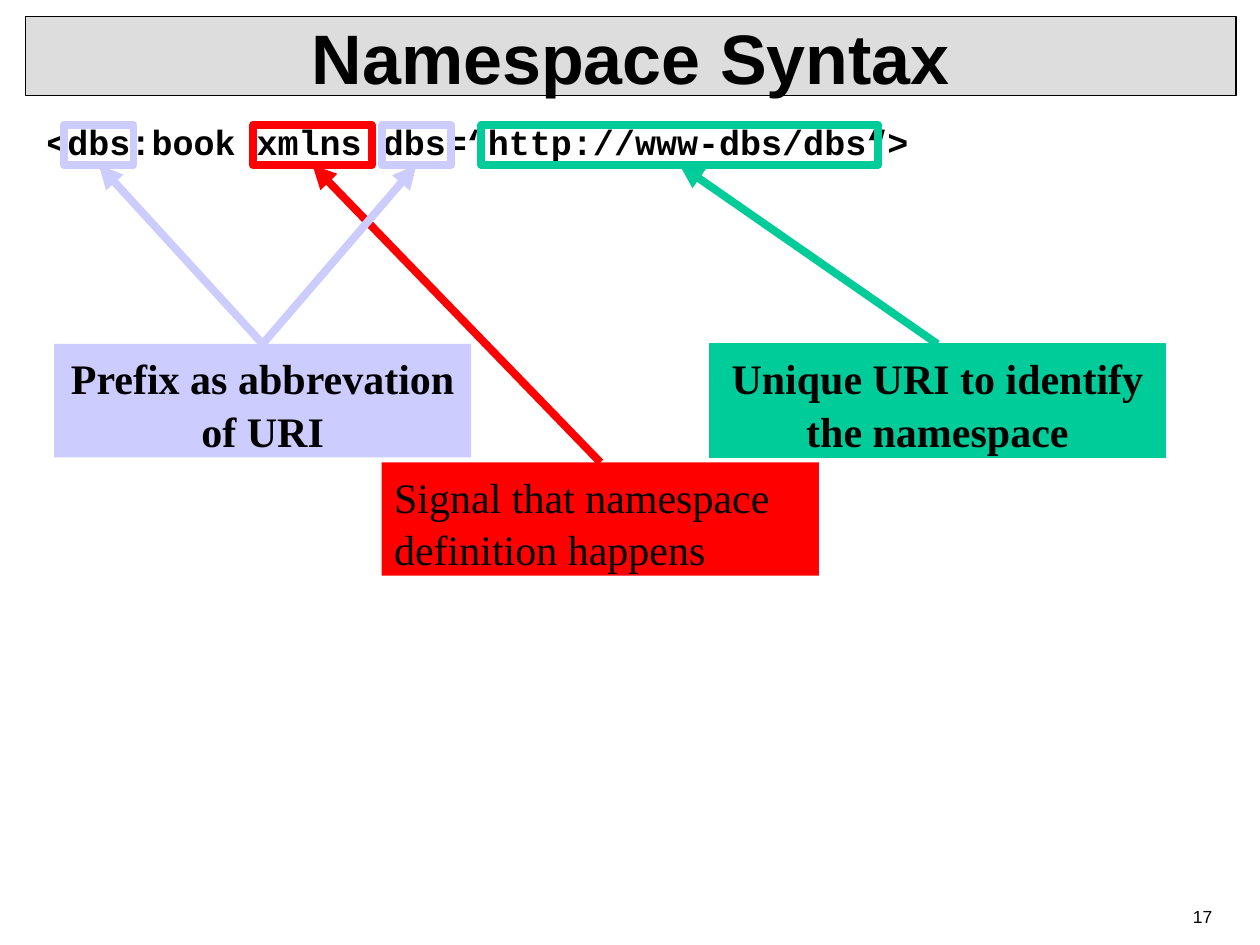
from lxml import etree
from pptx import Presentation
from pptx.dml.color import RGBColor
from pptx.enum.shapes import MSO_CONNECTOR, MSO_SHAPE
from pptx.enum.text import MSO_ANCHOR, PP_ALIGN
from pptx.oxml.ns import qn
from pptx.util import Inches, Pt

RECTANGLE = MSO_SHAPE.RECTANGLE
STRAIGHT = MSO_CONNECTOR.STRAIGHT
LEFT, CENTER, RIGHT = PP_ALIGN.LEFT, PP_ALIGN.CENTER, PP_ALIGN.RIGHT
TOP, MIDDLE = MSO_ANCHOR.TOP, MSO_ANCHOR.MIDDLE
TOP_SITE, BOTTOM_SITE = 0, 2
COLUMNS, ROWS = 100, 75
FRAME_ROW, FRAME_HEIGHT, LABEL_HEIGHT = 9.9, 3.2, 9
COLORS = {
    "black": "000000",
    "gray": "DDDDDD",
    "green": "00CC99",
    "red": "FF0000",
    "lilac": "CCCCFF",
}


def color(name):
    return RGBColor.from_string(COLORS[name])


def write(box, text, font="Arial", size=24, bold=False, align=LEFT, anchor=TOP, spacing=None):
    frame = box.text_frame
    frame.word_wrap = True
    frame.vertical_anchor = anchor
    para = frame.paragraphs[0]
    para.alignment = align
    para.line_spacing = spacing
    span = para.add_run()
    span.text = text
    span.font.name = font
    span.font.size = Pt(size)
    span.font.bold = bold
    span.font.color.rgb = color("black")


class NamespaceSlide:
    """Holds the deck, its grid and the current page, and draws each kind of element."""

    def __init__(self):
        self.deck = Presentation()
        self.deck.slide_width, self.deck.slide_height = Inches(10), Inches(7.5)
        self.page = self.deck.slides.add_slide(self.deck.slide_layouts[6])
        self.shapes = self.page.shapes

    def place(self, column, row, width, height):
        across = self.deck.slide_width / COLUMNS
        down = self.deck.slide_height / ROWS
        return round(column * across), round(row * down), round(width * across), round(height * down)

    def start_group(self):
        self.shapes = self.page.shapes.add_group_shape().shapes

    def text(self, area, text, **style):
        box = self.shapes.add_textbox(*self.place(*area))
        write(box, text, **style)

    def rectangle(self, area, fill=None, line=None, weight=0.75):
        box = self.shapes.add_shape(RECTANGLE, *self.place(*area))
        box.shadow.inherit = False
        if fill:
            box.fill.solid()
            box.fill.fore_color.rgb = color(fill)
        else:
            box.fill.background()
        if line:
            box.line.color.rgb = color(line)
            box.line.width = Pt(weight)
        else:
            box.line.fill.background()
        return box

    def frame(self, column, width, tint):
        return self.rectangle((column, FRAME_ROW, width, FRAME_HEIGHT), line=tint, weight=4.5)

    def label(self, column, row, width, text, tint, line=None, **style):
        box = self.rectangle((column, row, width, LABEL_HEIGHT), fill=tint, line=line)
        write(box, text, font="Times New Roman", spacing=1.05, **style)
        return box

    def arrow(self, label, frame, tint):
        line = self.shapes.add_connector(
            STRAIGHT,
            label.left + label.width // 2,
            label.top,
            frame.left + frame.width // 2,
            frame.top + frame.height,
        )
        line.begin_connect(label, TOP_SITE)
        line.end_connect(frame, BOTTOM_SITE)
        line.line.color.rgb = color(tint)
        line.line.width = Pt(4.5)
        etree.SubElement(line.line._get_or_add_ln(), qn("a:tailEnd"), type="triangle")
        etree.SubElement(line._element.spPr, qn("a:effectLst"))

    def callout(self, label, frames, tint):
        self.start_group()
        marks = [self.frame(column, width, tint) for column, width in frames]
        box = self.label(tint=tint, **label)
        for mark in marks:
            self.arrow(box, mark, tint)


def main():
    slide = NamespaceSlide()
    slide.text((76.4, 71.4, 20.8, 3.6), "17", size=10, align=RIGHT)
    title = slide.rectangle((2, 1.3, 96.1, 6.3), fill="gray", line="black")
    write(title, "Namespace Syntax", size=40, bold=True, align=CENTER, anchor=MIDDLE)
    slide.text(
        (2.7, 9.1, 94.5, 4.7),
        "<dbs:book xmlns:dbs=“http://www-dbs/dbs“>",
        font="Courier New", size=20, bold=True,
    )
    slide.callout(
        dict(column=56.3, row=27.3, width=36.2, text="Unique URI to identify the namespace",
             line="green", bold=True, align=CENTER),
        [(38.2, 31.5)], "green",
    )
    slide.callout(
        dict(column=30.3, row=36.7, width=34.7, text="Signal that namespace definition happens"),
        [(20.1, 9.4)], "red",
    )
    slide.callout(
        dict(column=4.3, row=27.3, width=33.1, text="Prefix as abbrevation of URI",
             bold=True, align=CENTER),
        [(5.1, 5.5), (30.3, 5.5)], "lilac",
    )
    slide.deck.save("out.pptx")


if __name__ == "__main__":
    main()
